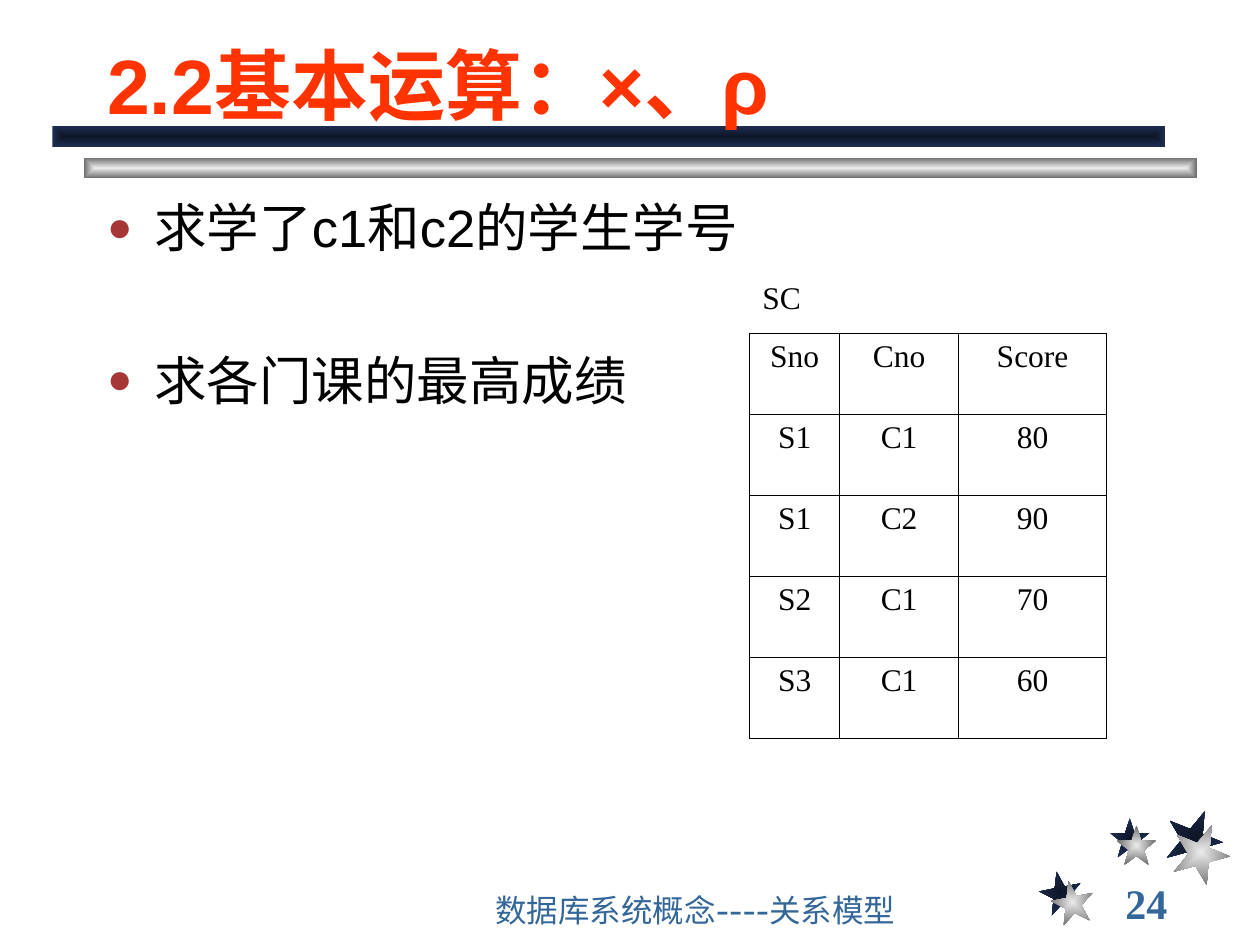
from lxml.etree import SubElement
from pptx import Presentation
from pptx.dml.color import RGBColor
from pptx.enum.shapes import MSO_SHAPE as Shape
from pptx.enum.text import MSO_ANCHOR as Anchor, MSO_AUTO_SIZE as AutoSize, PP_ALIGN as Align
from pptx.oxml import parse_xml
from pptx.oxml.ns import nsdecls, qn
from pptx.util import Pt

COLORS = {
    "title": "FF3300",
    "text": "000000",
    "footer": "336699",
    "bullet": "A73737",
    "border": "000000",
}
NAVY = ("0E1526", "1E2E53")
SILVER = ("EAEAEA", "6C6C6C")
SERIF = "Times New Roman"

SCORES = [
    ("SC", "", ""),
    ("Sno", "Cno", "Score"),
    ("S1", "C1", "80"),
    ("S1", "C2", "90"),
    ("S2", "C1", "70"),
    ("S3", "C1", "60"),
]


def write(p, text, size, font="Arial", color="text", bold=False, align=Align.LEFT):
    p.alignment = align
    r = p.add_run()
    r.text = text
    r.font.size, r.font.name, r.font.bold = Pt(size), font, bold
    r.font.color.rgb = RGBColor.from_string(COLORS[color])


def place(sp, x, y, w, h):
    sp.left, sp.top, sp.width, sp.height = Pt(x), Pt(y), Pt(w), Pt(h)


def add_glossy(s, kind, x, y, w, h, colors, rotation=0):
    """Add a shape whose gradient runs from its centre to its edges."""
    sp = s.shapes.add_shape(kind, Pt(x), Pt(y), Pt(w), Pt(h))
    sp.rotation = rotation
    sp.shadow.inherit = False
    sp.line.fill.background()
    center, edge = colors
    gradient = parse_xml(
        f'<a:gradFill {nsdecls("a")} rotWithShape="1"><a:gsLst>'
        f'<a:gs pos="0"><a:srgbClr val="{center}"/></a:gs>'
        f'<a:gs pos="100000"><a:srgbClr val="{edge}"/></a:gs></a:gsLst>'
        '<a:path path="rect"><a:fillToRect l="50000" t="50000" r="50000" b="50000"/>'
        '</a:path></a:gradFill>')
    sp.element.spPr.find(qn("a:prstGeom")).addnext(gradient)


def add_bars(s, x, y, w, h):
    add_glossy(s, Shape.RECTANGLE, x + 18, y + 18, w, h, SILVER)
    add_glossy(s, Shape.RECTANGLE, x, y, w, h, NAVY)


def add_stars(s, x, y):
    """Add three navy stars, each with a silver star shifted in front of it."""
    stars = [  # left, top, size, rotation, shift right, shift down
        (0, 35.3, 24.2, 349, 6.8, 5.5),
        (40.3, 5, 22.6, 0, 3.8, 4.3),
        (72, 0, 32.6, 22, 4, 8),
    ]
    for colors, step in ((NAVY, 0), (SILVER, 1)):
        for left, top, size, rotation, dx, dy in stars:
            add_glossy(s, Shape.STAR_5_POINT, x + left + step * dx, y + top + step * dy,
                       size, size, colors, rotation)


def bring_to_front(sp):
    sp.element.getparent().append(sp.element)


def fill_title(s, text, *box):
    title = s.shapes.title
    bring_to_front(title)
    place(title, *box)
    tf = title.text_frame
    tf.auto_size, tf.vertical_anchor = AutoSize.NONE, Anchor.BOTTOM
    write(tf.paragraphs[0], text, 44, color="title", bold=True)


def add_bullet(p, indent):
    pPr = p._p.get_or_add_pPr()
    pPr.set("marL", str(Pt(indent)))
    pPr.set("indent", str(-Pt(indent)))
    SubElement(SubElement(pPr, qn("a:buClr")), qn("a:srgbClr"), val=COLORS["bullet"])
    SubElement(pPr, qn("a:buSzPct"), val="80000")
    SubElement(pPr, qn("a:buChar"), char="●")


def fill_body(s, items, gap, *box):
    body = s.placeholders[1]
    bring_to_front(body)
    place(body, *box)
    tf = body.text_frame
    tf.auto_size, tf.vertical_anchor = AutoSize.NONE, Anchor.TOP
    for i, item in enumerate(items):
        p = tf.add_paragraph() if i else tf.paragraphs[0]
        add_bullet(p, 27)
        p.space_before = Pt(gap if i else 0)
        write(p, item, 30)


def add_footer(s, text, x, y, w, h, anchor, **style):
    tf = s.shapes.add_textbox(Pt(x), Pt(y), Pt(w), Pt(h)).text_frame
    tf.word_wrap, tf.vertical_anchor = True, anchor
    write(tf.paragraphs[0], text, color="footer", **style)


def set_borders(cell, visible):
    tcPr = cell._tc.get_or_add_tcPr()
    for side in "LRTB":
        ln = SubElement(tcPr, qn(f"a:ln{side}"), w=str(Pt(0.45)))
        if side in visible:
            fill = SubElement(ln, qn("a:solidFill"))
            SubElement(fill, qn("a:srgbClr"), val=COLORS["border"])
        else:
            SubElement(ln, qn("a:noFill"))


def add_score_table(s, x, y, widths, caption_height, row_height):
    """Add the table, whose open first row holds the relation name."""
    heights = [caption_height] + [row_height] * (len(SCORES) - 1)
    table = s.shapes.add_table(len(heights), len(widths), Pt(x), Pt(y),
                               Pt(sum(widths)), Pt(sum(heights))).table
    table.first_row = table.horz_banding = False
    for column, width in zip(table.columns, widths):
        column.width = Pt(width)
    for i, (height, values) in enumerate(zip(heights, SCORES)):
        table.rows[i].height = Pt(height)
        for j, value in enumerate(values):
            cell = table.cell(i, j)
            set_borders(cell, "LRTB" if i else "B")
            cell.fill.background()
            if value:
                write(cell.text_frame.paragraphs[0], value, 18, SERIF,
                      align=Align.CENTER if i else Align.LEFT)


def main():
    prs = Presentation()
    prs.slide_width, prs.slide_height = Pt(720), Pt(540)
    s = prs.slides.add_slide(prs.slide_layouts[1])
    add_stars(s, 594, 462.5)
    add_bars(s, 30, 72, 636, 12)
    add_footer(s, "24", 636, 504, 78, 24, Anchor.MIDDLE, size=24, font=SERIF, bold=True)
    add_footer(s, "数据库系统概念----关系模型", 276, 510, 294, 24, Anchor.BOTTOM,
               size=18, font="Cabin")
    fill_title(s, "2.2基本运算：×、ρ", 54, 12, 612, 66)
    fill_body(s, ["求学了c1和c2的学生学号", "求各门课的最高成绩"], 51, 54, 108, 391, 384)
    add_score_table(s, 428.4, 157, (51.4, 68, 84.6), 33.4, 46.3)
    prs.save("out.pptx")


if __name__ == "__main__":
    main()
